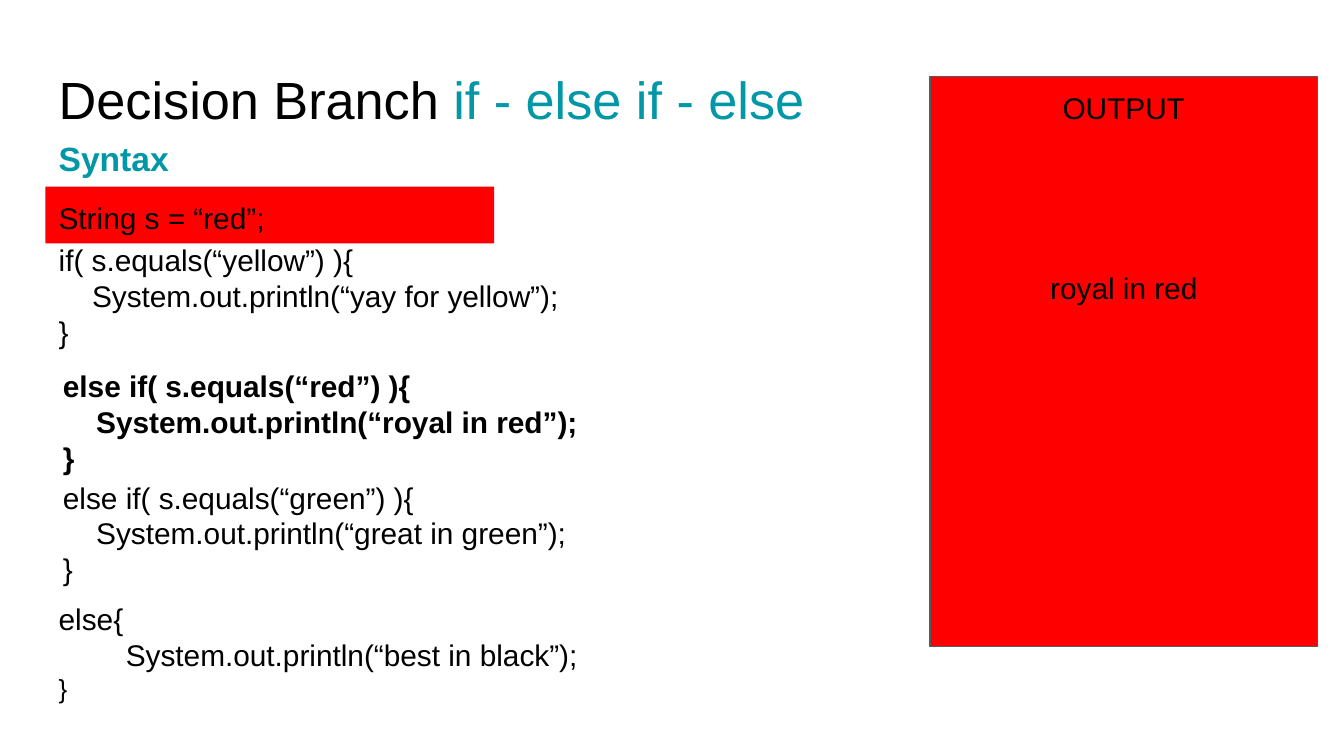
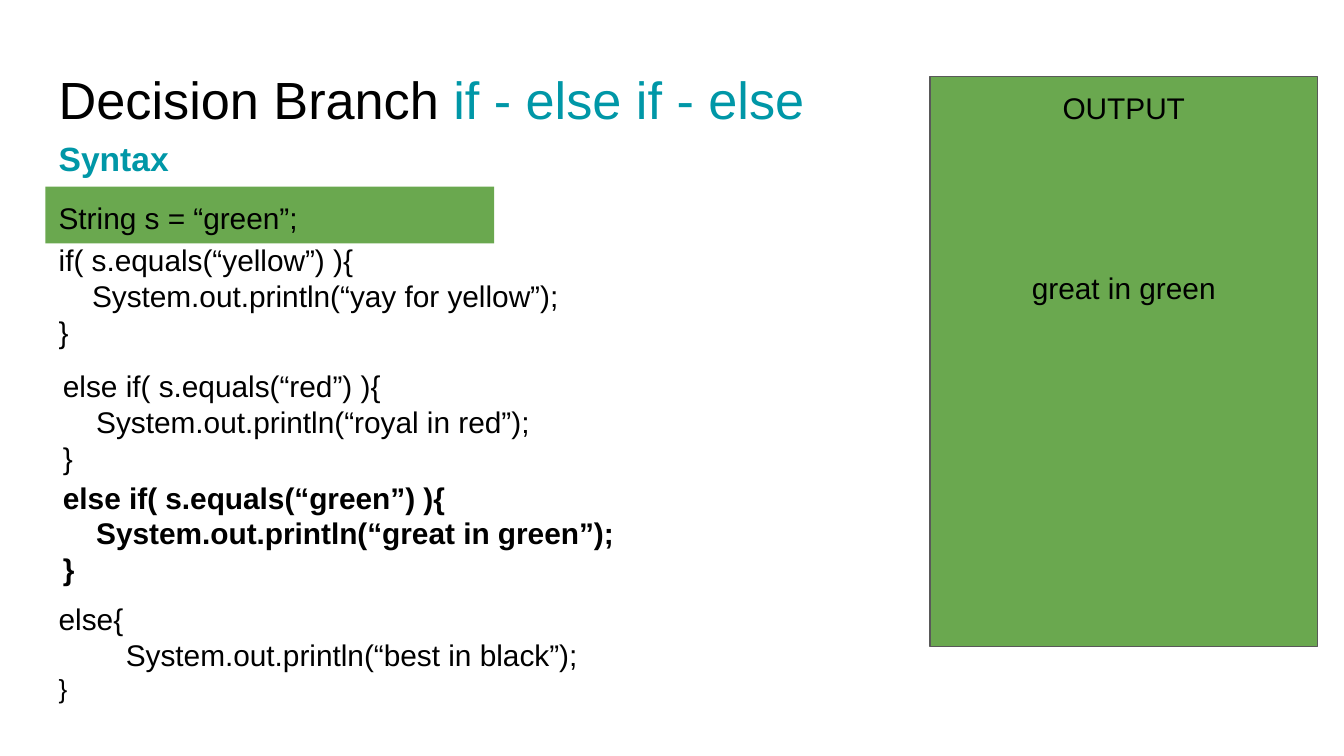
"""Build two slides that trace an if - else if - else branch for red and green."""
from pptx import Presentation
from pptx.dml.color import RGBColor
from pptx.enum.shapes import MSO_SHAPE
from pptx.enum.text import MSO_ANCHOR, MSO_AUTO_SIZE, PP_ALIGN
from pptx.util import Cm, Pt

RECTANGLE = MSO_SHAPE.RECTANGLE
TOP = MSO_ANCHOR.TOP
NO_AUTOFIT = MSO_AUTO_SIZE.NONE
LEFT, CENTER = PP_ALIGN.LEFT, PP_ALIGN.CENTER

BLACK = RGBColor(0x00, 0x00, 0x00)
TEAL = RGBColor(0x00, 0x97, 0xA7)
GRAY = RGBColor(0x59, 0x59, 0x59)
RED = RGBColor(0xFF, 0x00, 0x00)
GREEN = RGBColor(0x6A, 0xA8, 0x4F)

INSET = Cm(0.25)
FRAME = {
    "word_wrap": True,
    "auto_size": NO_AUTOFIT,
    "vertical_anchor": TOP,
    "margin_left": INSET,
    "margin_right": INSET,
    "margin_top": INSET,
    "margin_bottom": INSET,
}
CODE = {"name": "Arial", "size": Pt(16), "bold": False}
MARGIN = 0.86
BRANCH_MARGIN = 0.94
STEP = Cm(0.63)
ELSE_STEP = Cm(1.27)

TRACES = [
    ("red", "royal in red", RED),
    ("green", "great in green", GREEN),
]
BRANCHES = [
    ("if", "yellow", "yay for yellow", MARGIN, 4.32),
    ("else if", "red", "royal in red", BRANCH_MARGIN, 6.71),
    ("else if", "green", "great in green", BRANCH_MARGIN, 8.81),
]


def write(shape, lines, align=LEFT, color=BLACK, **changes):
    """Fill a shape with one paragraph per line, all in one format."""
    frame = shape.text_frame
    for key, value in FRAME.items():
        setattr(frame, key, value)
    frame.text = "\n".join(lines)
    for paragraph in frame.paragraphs:
        paragraph.alignment = align
        for run in paragraph.runs:
            run.font.color.rgb = color
            for key, value in {**CODE, **changes}.items():
                setattr(run.font, key, value)
    return frame.paragraphs


def place(shapes, left, top, width, height, fill=None):
    """Add a text box, or a filled rectangle when a fill is given."""
    area = Cm(left), Cm(top), Cm(width), Cm(height)
    if fill is None:
        return shapes.add_textbox(*area)
    box = shapes.add_shape(RECTANGLE, *area)
    box.shadow.inherit = False
    box.fill.solid()
    box.fill.fore_color.rgb = fill
    box.line.fill.background()
    return box


deck = Presentation()
deck.slide_width, deck.slide_height = Cm(25.4), Cm(14.29)
title_only = deck.slide_layouts[5]

for value, printed, color in TRACES:
    shapes = deck.slides.add_slide(title_only).shapes

    title = shapes.title
    title.left, title.top, title.width, title.height = Cm(MARGIN), Cm(1.02), Cm(23.67), Cm(1.6)
    heading, = write(title, ["Decision Branch "], size=Pt(28))
    keywords = heading.add_run()
    keywords.text = "if - else if - else"
    for key, setting in {**CODE, "size": Pt(28)}.items():
        setattr(keywords.font, key, setting)
    keywords.font.color.rgb = TEAL

    syntax = place(shapes, MARGIN, 2.36, 13.74, 1.6)
    write(syntax, ["Syntax"], color=TEAL, size=Pt(18), bold=True)

    for keyword, tested, message, left, top in BRANCHES:
        branch = place(shapes, left, top, 11, 2.49)
        code = [f"{keyword}( s.equals(“{tested}”) ){{", f"System.out.println(“{message}”);", "}"]
        _, statement, _ = write(branch, code, bold=tested == value)
        statement._p.get_or_add_pPr().set("marL", str(STEP))

    fallback = place(shapes, MARGIN, 11.1, 11, 2.31)
    _, statement, brace = write(fallback, ["else{", "System.out.println(“best in black”);", "}"])
    statement._p.get_or_add_pPr().set("indent", str(ELSE_STEP))
    brace.runs[0].font.size = Pt(14)

    output = place(shapes, 17.58, 1.45, 7.32, 10.77, color)
    output.line.color.rgb = GRAY
    output.line.width = Pt(0.75)
    label, _ = write(output, ["OUTPUT", printed], CENTER)
    label.space_after = Pt(77)

    assignment = place(shapes, MARGIN, 3.53, 8.48, 1.07, color)
    write(assignment, [f"String s = “{value}”;"])

deck.save("out.pptx")
